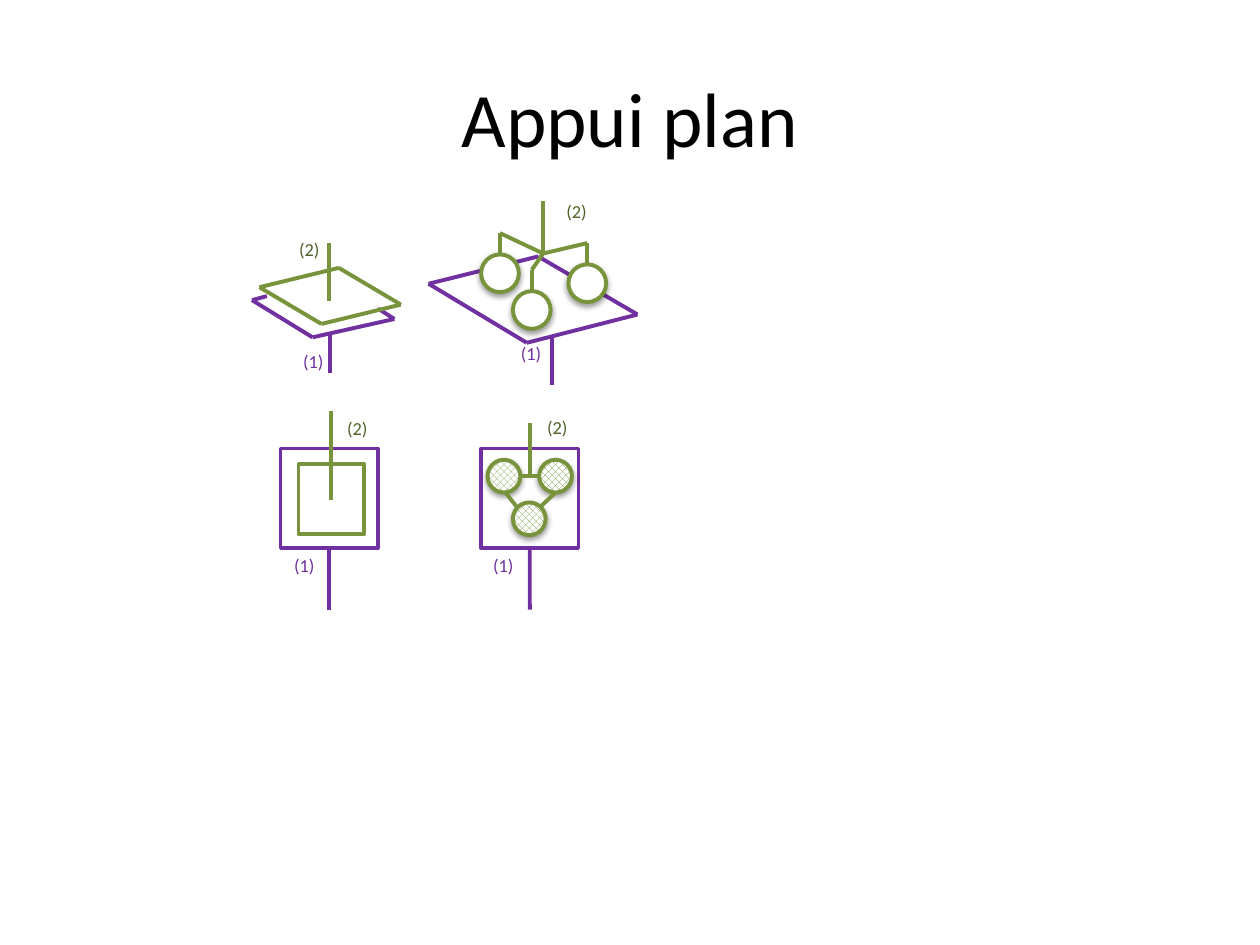
from dataclasses import dataclass
from itertools import pairwise
from typing import Any, NamedTuple, Optional

import pptx
import pptx.dml.color
import pptx.enum.dml
import pptx.enum.shapes
import pptx.enum.text
import pptx.oxml.ns
import pptx.util
from lxml import etree

Cm = pptx.util.Cm
Pt = pptx.util.Pt
Color = pptx.dml.color.RGBColor
Preset = pptx.enum.shapes.MSO_SHAPE
qn = pptx.oxml.ns.qn


@dataclass(frozen=True)
class Theme:
    font: str = "Calibri"
    title_size: float = 44
    label_size: float = 10.5
    line_width: float = 2.25
    plate_width: float = 2
    black: Color = Color(0x00, 0x00, 0x00)
    white: Color = Color(0xFF, 0xFF, 0xFF)
    purple: Color = Color(0x70, 0x30, 0xA0)
    green: Color = Color(0x77, 0x93, 0x3C)
    dark_green: Color = Color(0x4F, 0x62, 0x28)


THEME = Theme()


# All coordinates are in centimetres
class Point(NamedTuple):
    x: float
    y: float


class Box(NamedTuple):
    left: float
    top: float
    width: float
    height: float

    def lengths(self) -> list[pptx.util.Length]:
        return [Cm(value) for value in self]


class Label(NamedTuple):
    text: str
    left: float
    top: float


ROLLER_SIZE = 0.76
ROLLER_STEM = 0.43
PAD_SIZE = 0.66
STEM_BOTTOM = 12.29

LABELS = [
    Label("(1)", 5.82, 6.93), Label("(2)", 5.74, 4.67),
    Label("(1)", 10.21, 6.78), Label("(2)", 11.13, 3.91),
    Label("(1)", 5.64, 11.05), Label("(2)", 6.71, 8.28),
    Label("(1)", 9.65, 11.05), Label("(2)", 10.74, 8.26),
]


def add_line(shapes: Any, start: Point, end: Point, color: Color) -> Any:
    connector = shapes.add_connector(
        pptx.enum.shapes.MSO_CONNECTOR.STRAIGHT,
        Cm(start.x), Cm(start.y), Cm(end.x), Cm(end.y))
    connector.line.color.rgb = color
    connector.line.width = Pt(THEME.line_width)
    etree.SubElement(connector._element.spPr, qn("a:effectLst"))
    return connector


def add_edges(shapes: Any, points: list[Point], color: Color) -> None:
    for start, end in pairwise(points):
        add_line(shapes, start, end, color)


def add_outlined(shapes: Any, preset: Preset, box: Box, color: Color, width: float) -> Any:
    shape = shapes.add_shape(preset, *box.lengths())
    shape.fill.solid()
    shape.fill.fore_color.rgb = THEME.white
    shape.line.color.rgb = color
    shape.line.width = Pt(width)
    shape.shadow.inherit = False
    return shape


def add_circle(shapes: Any, box: Box) -> Any:
    circle = add_outlined(shapes, Preset.OVAL, box, THEME.green, THEME.line_width)
    effects = circle._element.spPr.find(qn("a:effectLst"))
    shadow = etree.SubElement(effects, qn("a:outerShdw"), blurRad="40000",
                              dist="20000", dir="5400000", rotWithShape="0")
    color = etree.SubElement(shadow, qn("a:srgbClr"), val=str(THEME.black))
    etree.SubElement(color, qn("a:alpha"), val="38000")
    return circle


def add_roller(shapes: Any, top: Point) -> None:
    """A ball hanging from a short stem that starts at top."""
    group = shapes.add_group_shape()
    ball_top = top.y + ROLLER_STEM
    add_line(group.shapes, Point(top.x, ball_top), top, THEME.green)
    add_circle(group.shapes, Box(top.x - ROLLER_SIZE / 2, ball_top, ROLLER_SIZE, ROLLER_SIZE))


def add_pad(shapes: Any, left: float, top: float) -> None:
    pad = add_circle(shapes, Box(left, top, PAD_SIZE, PAD_SIZE))
    pad.fill.patterned()
    pad.fill.pattern = pptx.enum.dml.MSO_PATTERN.OUTLINED_DIAMOND
    pad.fill.fore_color.rgb = THEME.green
    pad.fill.back_color.rgb = THEME.white


def add_base(shapes: Any, left: float) -> None:
    """The square base plate seen from the front, with its stem."""
    box = Box(left, 9.04, 1.96, 2.01)
    plate = add_outlined(shapes, Preset.RECTANGLE, box, THEME.purple, THEME.plate_width)
    middle = box.left + box.width / 2
    stem = add_line(shapes, Point(middle, box.top + box.height),
                    Point(middle, STEM_BOTTOM), THEME.purple)
    stem.begin_connect(plate, 2)


def add_text(shapes: Any, text: str, box: Box, size: float, color: Color) -> Any:
    text_frame = shapes.add_textbox(*box.lengths()).text_frame
    text_frame.word_wrap = True
    paragraph = text_frame.paragraphs[0]
    paragraph.alignment = pptx.enum.text.PP_ALIGN.CENTER
    run = paragraph.add_run()
    run.text = text
    run.font.name = THEME.font
    run.font.size = Pt(size)
    run.font.color.rgb = color
    return text_frame


def draw_stacked_plates(shapes: Any) -> None:
    add_edges(shapes, [Point(7.62, 6.22), Point(7.95, 6.43), Point(6.3, 6.8),
                       Point(5.08, 6.05), Point(5.38, 5.97)], THEME.purple)
    upper = [Point(5.23, 5.79), Point(6.48, 6.53), Point(8.08, 6.14), Point(6.83, 5.4)]
    add_edges(shapes, upper + upper[:1], THEME.green)
    add_line(shapes, Point(6.65, 7.52), Point(6.65, 6.73), THEME.purple)
    add_line(shapes, Point(6.63, 6.07), Point(6.63, 4.9), THEME.green)


def draw_rollers_on_plate(shapes: Any) -> None:
    plate = [Point(10.85, 5.17), Point(12.85, 6.34), Point(10.62, 6.91), Point(8.64, 5.72)]
    add_edges(shapes, plate + plate[:1], THEME.purple)
    add_line(shapes, Point(11.13, 7.77), Point(11.13, 6.76), THEME.purple)
    hub = Point(10.95, 5.11)
    for top in (Point(10.08, 4.7), Point(10.72, 5.44), Point(11.84, 4.9)):
        add_roller(shapes, top)
        add_line(shapes, top, hub, THEME.green)
    add_line(shapes, hub, Point(hub.x, 4.06), THEME.green)


def draw_front_plates(shapes: Any) -> None:
    add_base(shapes, 5.66)
    add_outlined(shapes, Preset.RECTANGLE, Box(6.02, 9.35, 1.32, 1.42),
                 THEME.green, THEME.plate_width)
    add_line(shapes, Point(6.68, 10.08), Point(6.68, 8.28), THEME.green)


def draw_front_pads(shapes: Any) -> None:
    add_base(shapes, 9.7)
    for left, top in ((9.83, 9.27), (10.87, 9.27), (10.34, 10.13)):
        add_pad(shapes, left, top)
    for start, end in (
        (Point(10.41, 10.21), Point(10.19, 9.93)),
        (Point(10.9, 10.21), Point(11.2, 9.93)),
        (Point(10.52, 9.6), Point(10.87, 9.6)),
        (Point(10.69, 9.6), Point(10.69, 8.53)),
    ):
        add_line(shapes, start, end, THEME.green)


def main() -> None:
    presentation = pptx.Presentation()
    presentation.slide_width, presentation.slide_height = Cm(25.4), Cm(19.05)
    slide = presentation.slides.add_slide(presentation.slide_layouts[6])
    shapes = slide.shapes

    # Title
    title = add_text(shapes, "Appui plan", Box(1.27, 0.76, 22.86, 3.18),
                     THEME.title_size, THEME.black)
    title.vertical_anchor = pptx.enum.text.MSO_ANCHOR.MIDDLE

    # Perspective views, then front views
    draw_stacked_plates(shapes)
    draw_rollers_on_plate(shapes)
    draw_front_plates(shapes)
    draw_front_pads(shapes)

    # Part numbers
    label_colors = {"(1)": THEME.purple, "(2)": THEME.dark_green}
    for label in LABELS:
        frame = add_text(shapes, label.text, Box(label.left, label.top, 0.99, 0.74),
                         THEME.label_size, label_colors[label.text])
        frame.auto_size = pptx.enum.text.MSO_AUTO_SIZE.SHAPE_TO_FIT_TEXT

    presentation.save("out.pptx")


if __name__ == "__main__":
    main()
